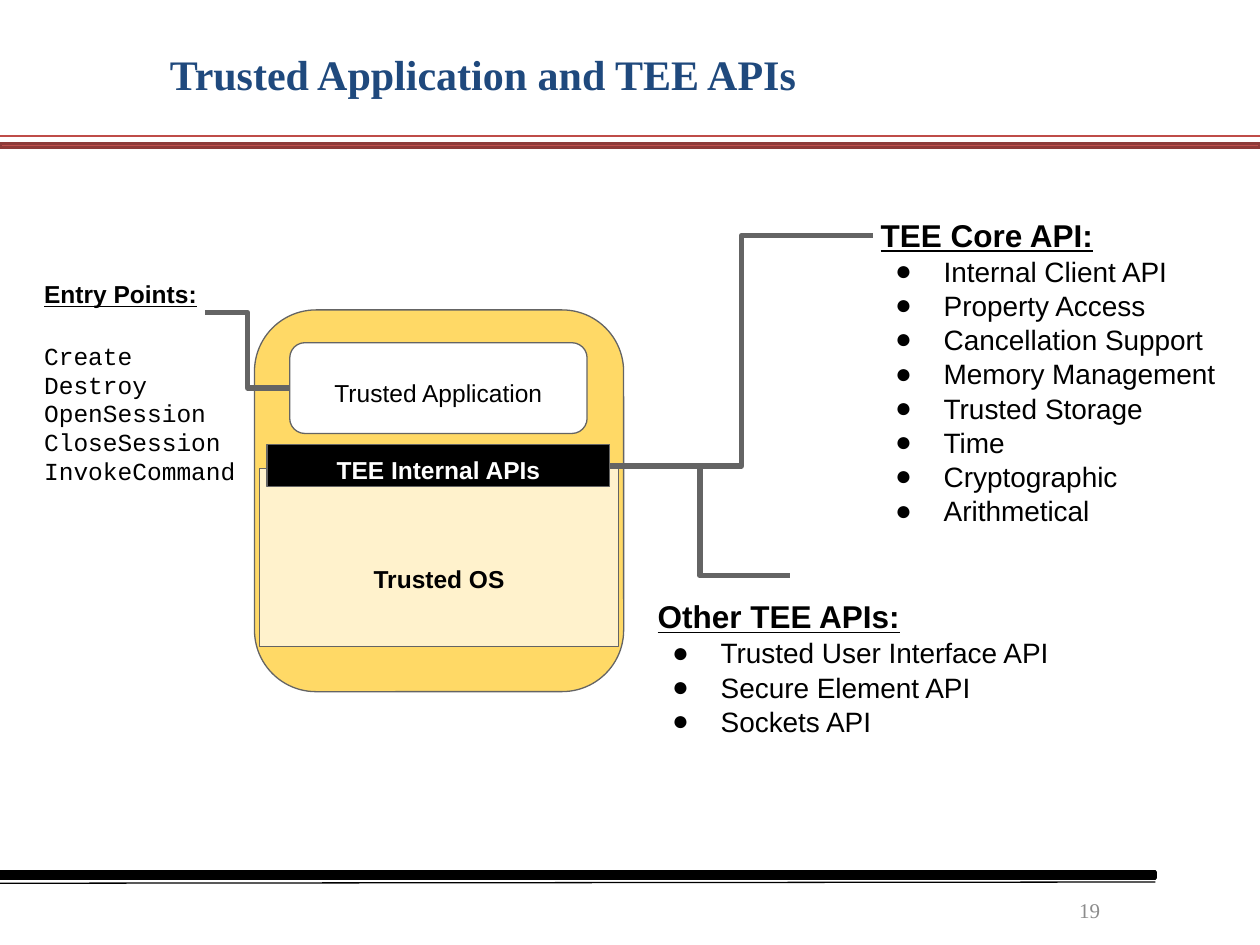
from lxml.etree import SubElement
from pptx import Presentation
from pptx.dml.color import RGBColor
from pptx.enum.shapes import MSO_CONNECTOR as Connector, MSO_SHAPE as Shape
from pptx.enum.text import MSO_ANCHOR as Anchor, PP_ALIGN as Align
from pptx.oxml.ns import qn
from pptx.util import Inches, Pt

BLACK = RGBColor(0x00, 0x00, 0x00)
WHITE = RGBColor(0xFF, 0xFF, 0xFF)
GRAY = RGBColor(0x64, 0x64, 0x64)
PALE_GRAY = RGBColor(0x8C, 0x8C, 0x8C)
NAVY = RGBColor(0x1F, 0x49, 0x7D)
RED = RGBColor(0xC0, 0x50, 0x4D)
RULE_RED = RGBColor(0xBF, 0x4C, 0x48)
DARK_RED = RGBColor(0x8E, 0x3B, 0x39)
GOLD = RGBColor(0xFF, 0xD9, 0x66)
CREAM = RGBColor(0xFF, 0xF2, 0xCC)

presentation = Presentation()
presentation.slide_width = Inches(10)
presentation.slide_height = Inches(7.5)
slide = presentation.slides.add_slide(presentation.slide_layouts[6])
CELL = presentation.slide_width / 100


def grid(*cells):
    return [round(cell * CELL) for cell in cells]


def style(paragraph, name, size, color, bold=False, underline=None):
    font = paragraph.font if not paragraph.runs else paragraph.runs[0].font
    font.name = name
    font.size = Pt(size)
    font.color.rgb = color
    font.bold = bold
    font.underline = underline


blocks = [
    (Shape.RECTANGLE, (0, 11.4, 100, 0.3), RED, DARK_RED, 2, "", BLACK, False, 0),
    (Shape.RECTANGLE, (0, 69.2, 91.7, 0.5), BLACK, BLACK, 2, "", BLACK, False, 0),
    (Shape.ROUNDED_RECTANGLE, (20.2, 24.6, 29.3, 30.3), GOLD, GRAY, 0.75, "", BLACK, False, 0),
    (Shape.RECTANGLE, (20.6, 37.2, 28.5, 14.1), CREAM, GRAY, 0.75, "Trusted OS", BLACK, True, 3.4),
    (Shape.RECTANGLE, (21.2, 35.3, 27.2, 3.3), BLACK, GRAY, 0.75, "TEE Internal APIs", WHITE, True, 0.7),
    (Shape.ROUNDED_RECTANGLE, (23, 27.2, 23.6, 7.2), WHITE, GRAY, 0.75, "Trusted Application", BLACK, False, 0.8),
]
for kind, place, fill, outline, weight, label, color, bold, drop in blocks:
    shape = slide.shapes.add_shape(kind, *grid(*place))
    shape.shadow.inherit = False
    shape.fill.solid()
    shape.fill.fore_color.rgb = fill
    shape.line.color.rgb = outline
    shape.line.width = Pt(weight)
    if label:
        frame = shape.text_frame
        frame.margin_left = frame.margin_right = frame.margin_bottom = 0
        frame.margin_top = grid(drop)[0]
        frame.vertical_anchor = Anchor.MIDDLE
        frame.text = label
        frame.paragraphs[0].alignment = Align.CENTER
        style(frame.paragraphs[0], "Arial", 14, color, bold)

lines = [
    (Connector.STRAIGHT, (0, 10.8, 100, 10.8), RULE_RED, 0.75),
    (Connector.STRAIGHT, (0, 70.1, 91.7, 70), BLACK, 0.75),
    (Connector.ELBOW, (48.4, 37, 69.3, 18.7), GRAY, 3),
    (Connector.ELBOW, (23, 30.8, 16.3, 24.8), GRAY, 3),
    (Connector.ELBOW, (48.4, 37, 62.7, 45.7), GRAY, 3),
]
for kind, ends, color, weight in lines:
    connector = slide.shapes.add_connector(kind, *grid(*ends))
    connector.line.color.rgb = color
    connector.line.width = Pt(weight)
    SubElement(connector._element.spPr, qn("a:effectLst"))

captions = [
    ("Trusted Application and TEE APIs", (12.5, 2.5, 85.8, 6.7), Align.LEFT, 24, NAVY, True),
    ("19", (83.3, 70.2, 5, 4), Align.RIGHT, 12, PALE_GRAY, False),
]
for text, place, alignment, size, color, bold in captions:
    frame = slide.shapes.add_textbox(*grid(*place)).text_frame
    frame.word_wrap = True
    frame.vertical_anchor = Anchor.MIDDLE
    frame.text = text
    frame.paragraphs[0].alignment = alignment
    style(frame.paragraphs[0], "Times New Roman", size, color, bold)

entry_points = ["Create", "Destroy", "OpenSession", "CloseSession", "InvokeCommand"]
core_api = ["Internal Client API", "Property Access", "Cancellation Support", "Memory Management",
            "Trusted Storage", "Time", "Cryptographic", "Arithmetical"]
other_apis = ["Trusted User Interface API", "Secure Element API", "Sockets API"]
lists = [
    ("Entry Points:", 14, entry_points, "Courier New", 14, (3.5, 22.2, 20.2, 16.5), 16.4, 19, False),
    ("TEE Core API:", 18, core_api, "Arial", 16, (69.9, 17.4, 30, 24.5), 19.55, 0, True),
    ("Other TEE APIs:", 18, other_apis, "Arial", 16, (52.2, 47.7, 40, 10.9), 19.55, 0, True),
]
for heading, heading_size, items, name, size, place, pitch, gap, bulleted in lists:
    frame = slide.shapes.add_textbox(*grid(*place)).text_frame
    frame.word_wrap = True
    frame.margin_left = frame.margin_right = frame.margin_top = frame.margin_bottom = 0
    frame.text = "\n".join([heading, *items])
    for paragraph in frame.paragraphs:
        paragraph.line_spacing = Pt(pitch)
    title, *entries = frame.paragraphs
    style(title, "Arial", heading_size, BLACK, True, True)
    entries[0].space_before = Pt(gap)
    for paragraph in entries:
        if bulleted:
            properties = paragraph._p.get_or_add_pPr()
            indent, hang = grid(5, -3.85)
            properties.set("marL", str(indent))
            properties.set("indent", str(hang))
            SubElement(properties, qn("a:buFont"), typeface="Arial")
            SubElement(properties, qn("a:buChar"), char="●")
        style(paragraph, name, size, BLACK)

presentation.save("out.pptx")
